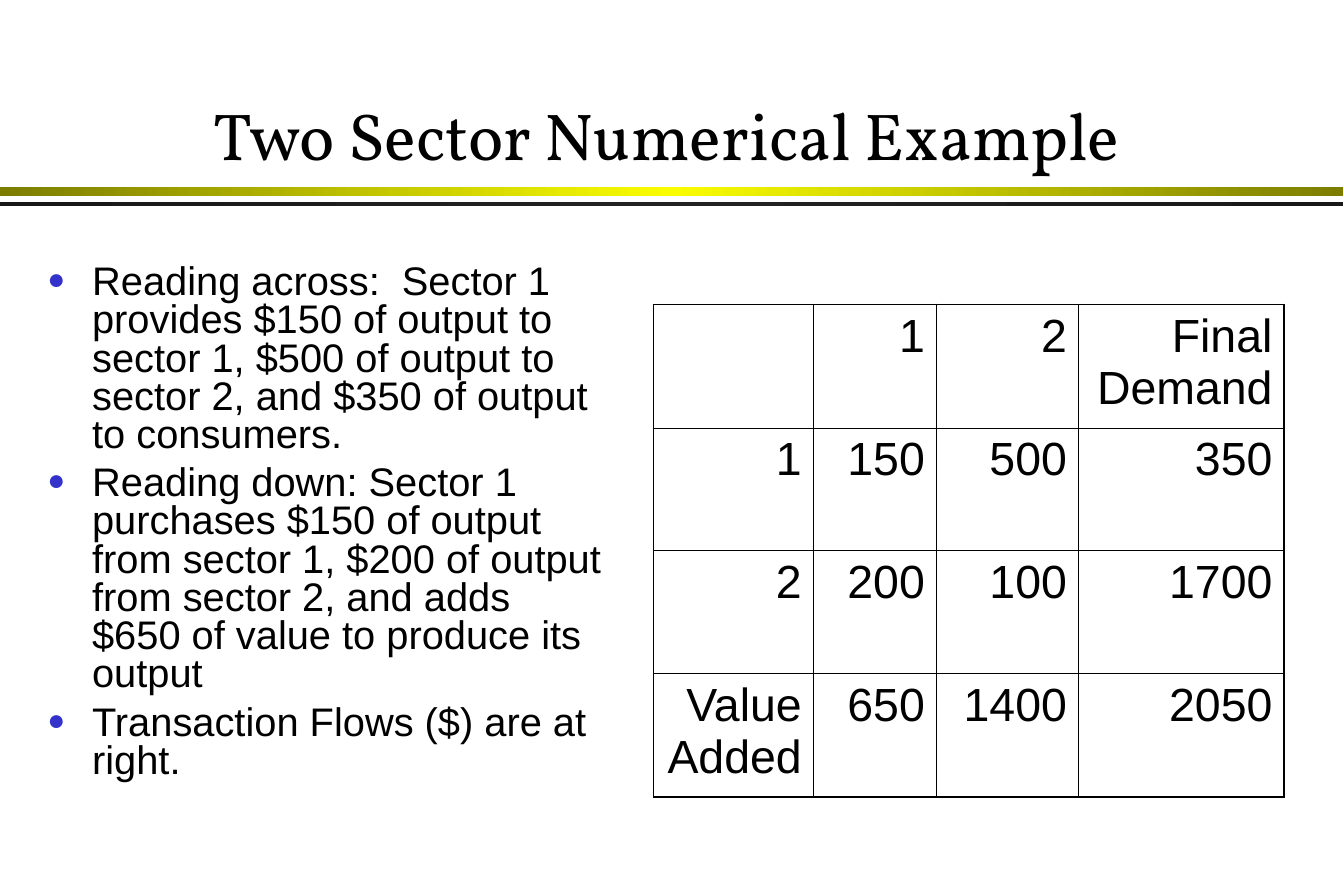
from copy import deepcopy
from dataclasses import dataclass

from lxml.etree import SubElement
from pptx import Presentation
from pptx.dml.color import RGBColor as Rgb
from pptx.enum.shapes import MSO_SHAPE as Preset
from pptx.enum.text import MSO_ANCHOR as Anchor, PP_ALIGN as Align
from pptx.oxml.ns import qn
from pptx.util import Cm, Pt


@dataclass(frozen=True)
class Theme:
    ink: str = "000000"
    bullet: str = "3333CC"
    gold_edge: str = "7C7D00"
    gold_middle: str = "FAFD00"
    dark_edge: str = "181818"
    dark_middle: str = "232323"
    title_font: str = "Vollkorn"
    text_font: str = "Arial"
    title_size: int = 40
    body_size: int = 24
    cell_size: int = 28
    inner_border: float = 0.45
    outer_border: float = 1.08


@dataclass(frozen=True)
class Box:
    """A region of the slide, in centimetres."""
    left: float
    top: float
    width: float
    height: float

    def emu(self):
        return Cm(self.left), Cm(self.top), Cm(self.width), Cm(self.height)


THEME = Theme()
TITLE = "Two Sector Numerical Example"
READINGS = [
    "Reading across:  Sector 1 provides $150 of output to sector 1, "
    "$500 of output to sector 2, and $350 of output to consumers.",
    "Reading down: Sector 1 purchases $150 of output from sector 1, "
    "$200 of output from sector 2, and adds $650 of value to produce its output",
    "Transaction Flows ($) are at right.",
]
FLOWS = [
    ["", "1", "2", "Final Demand"],
    ["1", "150", "500", "350"],
    ["2", "200", "100", "1700"],
    ["Value Added", "650", "1400", "2050"],
]
FLOW_WIDTHS = [3.4, 2.62, 3.02, 4.37]


def style_runs(paragraph, font_name, size):
    for run in paragraph.runs:
        run.font.name = font_name
        run.font.size = Pt(size)
        run.font.color.rgb = Rgb.from_string(THEME.ink)


def add_band(slide, box, edge, middle):
    band = slide.shapes.add_shape(Preset.RECTANGLE, *box.emu())
    band.shadow.inherit = False
    band.line.fill.background()
    band.fill.gradient()
    band.fill.gradient_angle = 0
    # A third stop puts the bright colour in the middle
    stops = band._element.spPr.find(qn("a:gradFill")).find(qn("a:gsLst"))
    stops.insert(1, deepcopy(stops[0]))
    for stop, position, color in zip(band.fill.gradient_stops, (0, 0.5, 1),
                                     (edge, middle, edge)):
        stop.position = position
        stop.color.rgb = Rgb.from_string(color)


def add_rules(slide, box):
    add_band(slide, Box(box.left, box.top, box.width, 0.2),
             THEME.gold_edge, THEME.gold_middle)
    add_band(slide, Box(box.left, box.top + box.height - 0.1, box.width, 0.1),
             THEME.dark_edge, THEME.dark_middle)


def add_title(slide, box):
    frame = slide.shapes.add_textbox(*box.emu()).text_frame
    frame.word_wrap = True
    frame.vertical_anchor = Anchor.BOTTOM
    frame.text = TITLE
    heading = frame.paragraphs[0]
    heading.alignment = Align.CENTER
    style_runs(heading, THEME.title_font, THEME.title_size)


def add_bullet(paragraph):
    props = paragraph._p.get_or_add_pPr()
    props.set("marL", str(Cm(0.95)))
    props.set("indent", str(-Cm(0.95)))
    color = SubElement(props, qn("a:buClr"))
    SubElement(color, qn("a:srgbClr"), val=THEME.bullet)
    SubElement(props, qn("a:buSzPct"), val="75000")
    SubElement(props, qn("a:buFont"), typeface=THEME.text_font)
    SubElement(props, qn("a:buChar"), char="●")


def add_readings(slide, box):
    frame = slide.shapes.add_textbox(*box.emu()).text_frame
    frame.word_wrap = True
    frame.text = "\n".join(READINGS)
    for reading in frame.paragraphs:
        reading.line_spacing = 0.8
        reading.space_before = Pt(6)
        add_bullet(reading)
        style_runs(reading, THEME.text_font, THEME.body_size)


def add_borders(cell, outer_sides):
    props = cell._tc.get_or_add_tcPr()
    for side in "LRTB":
        weight = THEME.outer_border if side in outer_sides else THEME.inner_border
        border = SubElement(props, qn(f"a:ln{side}"), w=str(Pt(weight)))
        fill = SubElement(border, qn("a:solidFill"))
        SubElement(fill, qn("a:srgbClr"), val=THEME.ink)


def add_flow_table(slide, box):
    row_count, column_count = len(FLOWS), len(FLOWS[0])
    table = slide.shapes.add_table(row_count, column_count, *box.emu()).table
    table.first_row = table.horz_banding = False
    for column, width in zip(table.columns, FLOW_WIDTHS):
        column.width = Cm(width)
    for row in table.rows:
        row.height = Cm(box.height / row_count)

    for r, flows in enumerate(FLOWS):
        for c, flow in enumerate(flows):
            cell = table.cell(r, c)
            edges = {"L": c == 0, "R": c == column_count - 1,
                     "T": r == 0, "B": r == row_count - 1}
            add_borders(cell, [side for side, outer in edges.items() if outer])
            cell.fill.background()
            cell.text_frame.text = flow
            entry = cell.text_frame.paragraphs[0]
            entry.alignment = Align.RIGHT
            entry.space_before = Pt(7)
            style_runs(entry, THEME.text_font, THEME.cell_size)


def main():
    deck = Presentation()
    deck.slide_width, deck.slide_height = Cm(28.58), Cm(19.05)
    slide = deck.slides.add_slide(deck.slide_layouts[6])

    add_rules(slide, Box(0, 3.97, 28.56, 0.42))
    add_title(slide, Box(3.28, 0.64, 21.8, 3.18))
    add_readings(slide, Box(0.76, 5.51, 12.42, 12.52))
    add_flow_table(slide, Box(13.9, 6.47, sum(FLOW_WIDTHS), 10.44))

    deck.save("out.pptx")


if __name__ == "__main__":
    main()
